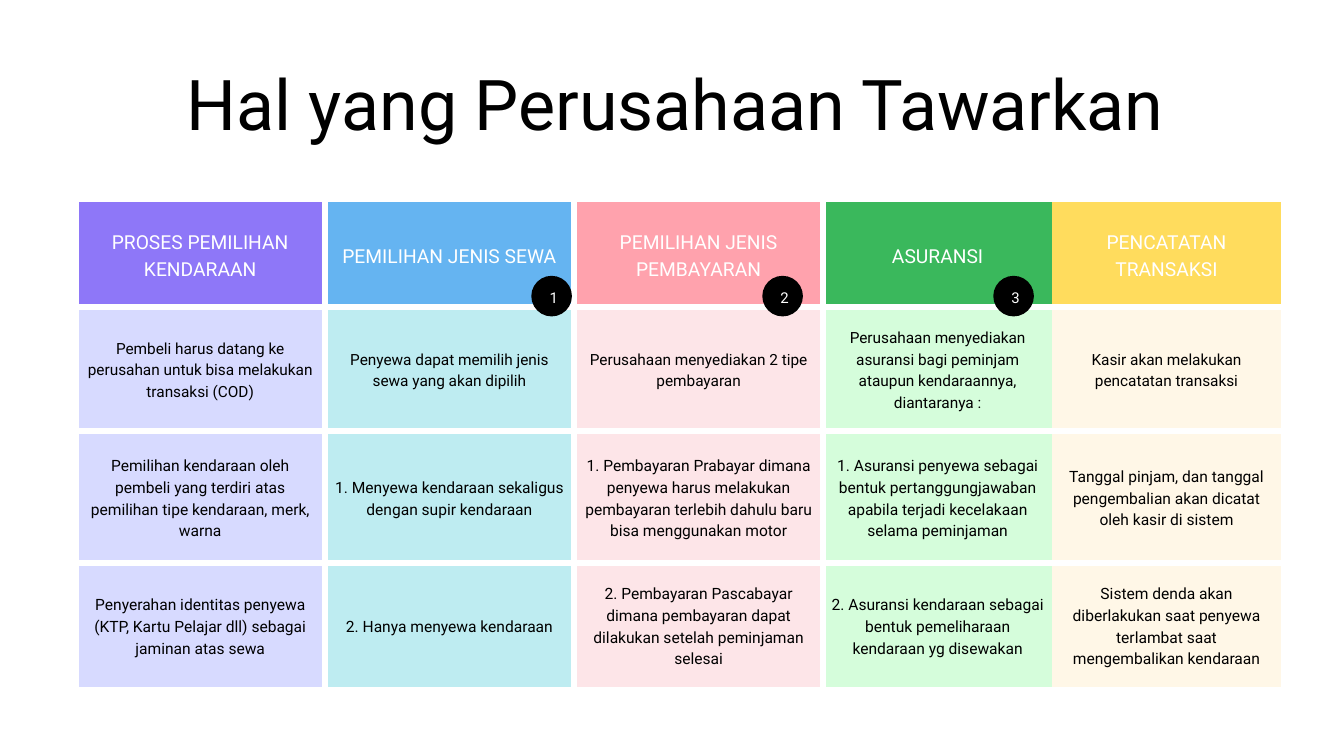
from lxml.etree import SubElement
from pptx import Presentation
from pptx.dml.color import RGBColor
from pptx.enum.shapes import MSO_SHAPE
from pptx.enum.text import MSO_ANCHOR, PP_ALIGN
from pptx.oxml.ns import qn
from pptx.util import Emu, Pt

FONT = "Roboto"
WHITE, BLACK = "FFFFFF", "000000"
BORDER = 7.5

COL_WIDTHS = [356, 356, 356, 327, 327]
ROW_HEIGHTS = [149, 178, 188, 178]
ROW_STYLES = [(20.6, 28.8, WHITE), (16.5, 23.1, BLACK), (16.7, 23.4, BLACK), (16.7, 23.4, BLACK)]

COLUMNS = [
    ("8E77F8", "D7DAFF", [
        "PROSES PEMILIHAN KENDARAAN",
        "Pembeli harus datang ke perusahan untuk bisa melakukan transaksi (COD)",
        "Pemilihan kendaraan oleh pembeli yang terdiri atas pemilihan tipe kendaraan, merk, warna",
        "Penyerahan identitas penyewa (KTP, Kartu Pelajar dll) sebagai jaminan atas sewa",
    ]),
    ("65B4F1", "BEECF1", [
        "PEMILIHAN JENIS SEWA",
        "Penyewa dapat memilih jenis sewa yang akan dipilih",
        "1. Menyewa kendaraan sekaligus dengan supir kendaraan",
        "2. Hanya menyewa kendaraan",
    ]),
    ("FFA2AD", "FDE5E8", [
        "PEMILIHAN JENIS PEMBAYARAN",
        "Perusahaan menyediakan 2 tipe pembayaran",
        "1. Pembayaran Prabayar dimana penyewa harus melakukan pembayaran terlebih dahulu "
        "baru bisa menggunakan motor",
        "2. Pembayaran Pascabayar dimana pembayaran dapat dilakukan setelah peminjaman selesai",
    ]),
    ("3AB85C", "D5FDDB", [
        "ASURANSI",
        "Perusahaan menyediakan asuransi bagi peminjam ataupun kendaraannya, diantaranya :",
        "1. Asuransi penyewa sebagai bentuk pertanggungjawaban apabila terjadi kecelakaan "
        "selama peminjaman",
        "2. Asuransi kendaraan sebagai bentuk pemeliharaan kendaraan yg disewakan",
    ]),
    ("FFDC5D", "FFF7E7", [
        "PENCATATAN TRANSAKSI",
        "Kasir akan melakukan pencatatan transaksi",
        "Tanggal pinjam, dan tanggal pengembalian akan dicatat oleh kasir di sistem",
        "Sistem denda akan diberlakukan saat penyewa terlambat saat mengembalikan kendaraan",
    ]),
]


def px(n):
    return Emu(n * 9525)


def rgb(color):
    return RGBColor.from_string(color)


def write(tf, text, size, leading, color):
    p = tf.paragraphs[0]
    p.alignment = PP_ALIGN.CENTER
    p.line_spacing = Pt(leading)
    r = p.add_run()
    r.text = text
    p.font.name = FONT
    p.font.size = Pt(size)
    p.font.color.rgb = rgb(color)
    return r


def add_text(shapes, x, y, w, h, text, size, leading, color, inset=0, anchor=MSO_ANCHOR.TOP):
    tf = shapes.add_textbox(px(x), px(y), px(w), px(h)).text_frame
    tf.word_wrap = True
    tf.vertical_anchor = anchor
    tf.margin_left = tf.margin_right = tf.margin_top = tf.margin_bottom = px(inset)
    return write(tf, text, size, leading, color)


def set_borders(cell, **widths):
    tcPr = cell._tc.get_or_add_tcPr()
    for side in "LRTB":
        ln = SubElement(tcPr, qn(f"a:ln{side}"), w=str(Pt(widths[side])))
        if widths[side]:
            fill = SubElement(ln, qn("a:solidFill"))
            SubElement(fill, qn("a:srgbClr"), val=WHITE)
        else:
            SubElement(ln, qn("a:noFill"))


def fill_cell(cell, row, col, text, color):
    last_row = len(ROW_HEIGHTS) - 1
    last_col = len(COL_WIDTHS) - 1
    set_borders(
        cell,
        L=BORDER if col < last_col else 0,
        R=BORDER if col < last_col - 1 else 0,
        T=BORDER if row > 0 else 0,
        B=BORDER if row < last_row else 0,
    )
    cell.fill.solid()
    cell.fill.fore_color.rgb = rgb(color)
    cell.vertical_anchor = MSO_ANCHOR.MIDDLE
    cell.margin_left = cell.margin_right = cell.margin_top = cell.margin_bottom = px(10)
    write(cell.text_frame, text, *ROW_STYLES[row])


def add_offer_table(s, x, y):
    table = s.shapes.add_table(
        len(ROW_HEIGHTS), len(COL_WIDTHS), px(x), px(y), px(sum(COL_WIDTHS)), px(sum(ROW_HEIGHTS))
    ).table
    table.first_row = table.horz_banding = False
    for row, height in zip(table.rows, ROW_HEIGHTS):
        row.height = px(height)
    for col, (head, body, texts) in enumerate(COLUMNS):
        table.columns[col].width = px(COL_WIDTHS[col])
        for row, text in enumerate(texts):
            fill_cell(table.cell(row, col), row, col, text, body if row else head)


def add_badge(s, x, y, number):
    group = s.shapes.add_group_shape()
    sp = group.shapes.add_shape(MSO_SHAPE.OVAL, px(x), px(y), px(58), px(58))
    sp.shadow.inherit = False
    sp.fill.solid()
    sp.fill.fore_color.rgb = rgb(BLACK)
    sp.line.fill.background()
    r = add_text(group.shapes, x + 6, y + 8, 52, 50, str(number), 16, 16, WHITE, 6, MSO_ANCHOR.MIDDLE)
    r._r.get_or_add_rPr().set("spc", "-30")


def main():
    prs = Presentation()
    prs.slide_width, prs.slide_height = px(1920), px(1080)
    s = prs.slides.add_slide(prs.slide_layouts[6])
    add_offer_table(s, 108, 289)
    add_text(s.shapes, 175, 67, 1580, 135, "Hal yang Perusahaan Tawarkan", 75, 105, BLACK)
    for i in range(3):
        add_badge(s, 759 + 330 * i, 394, i + 1)
    prs.save("out.pptx")


if __name__ == "__main__":
    main()
